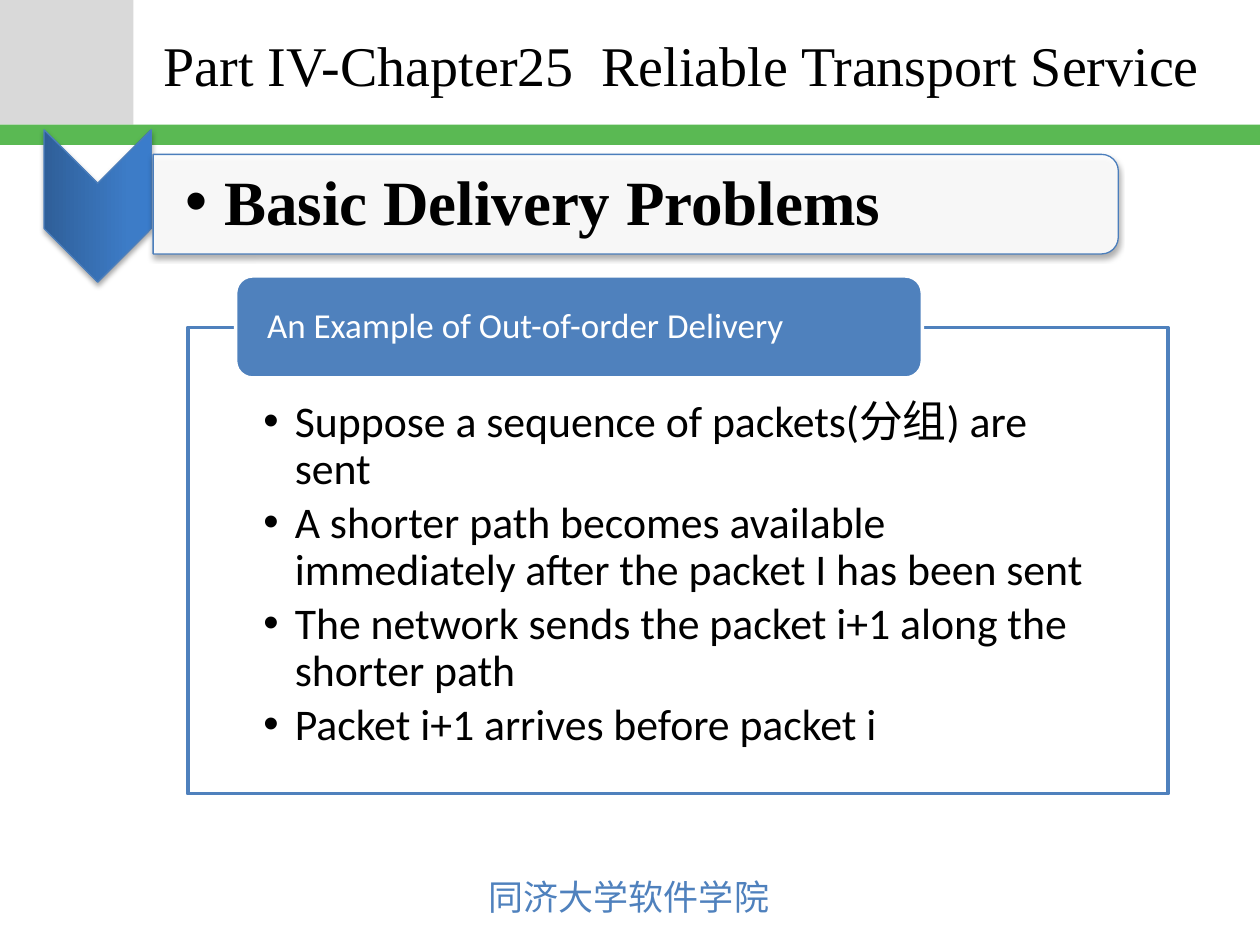
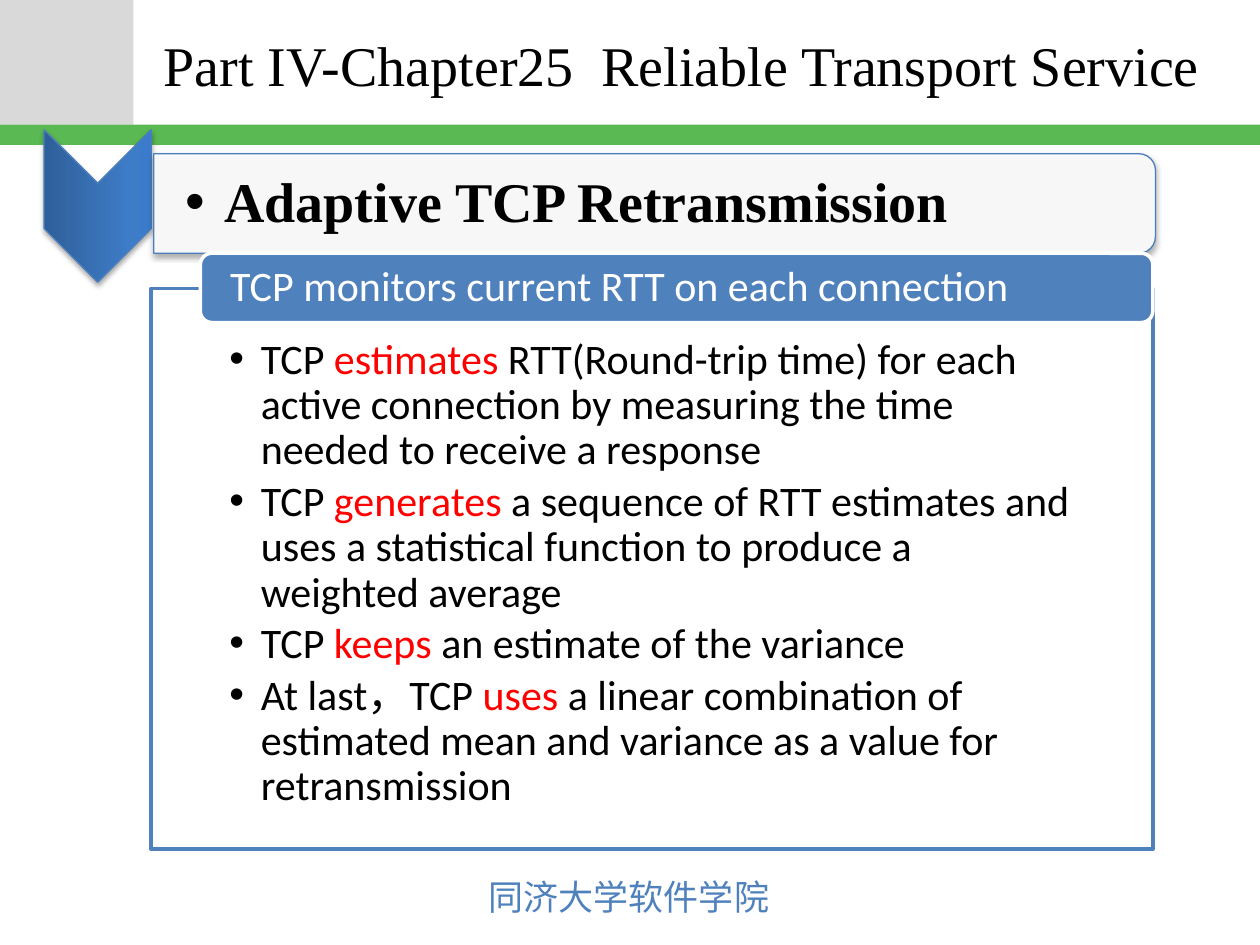
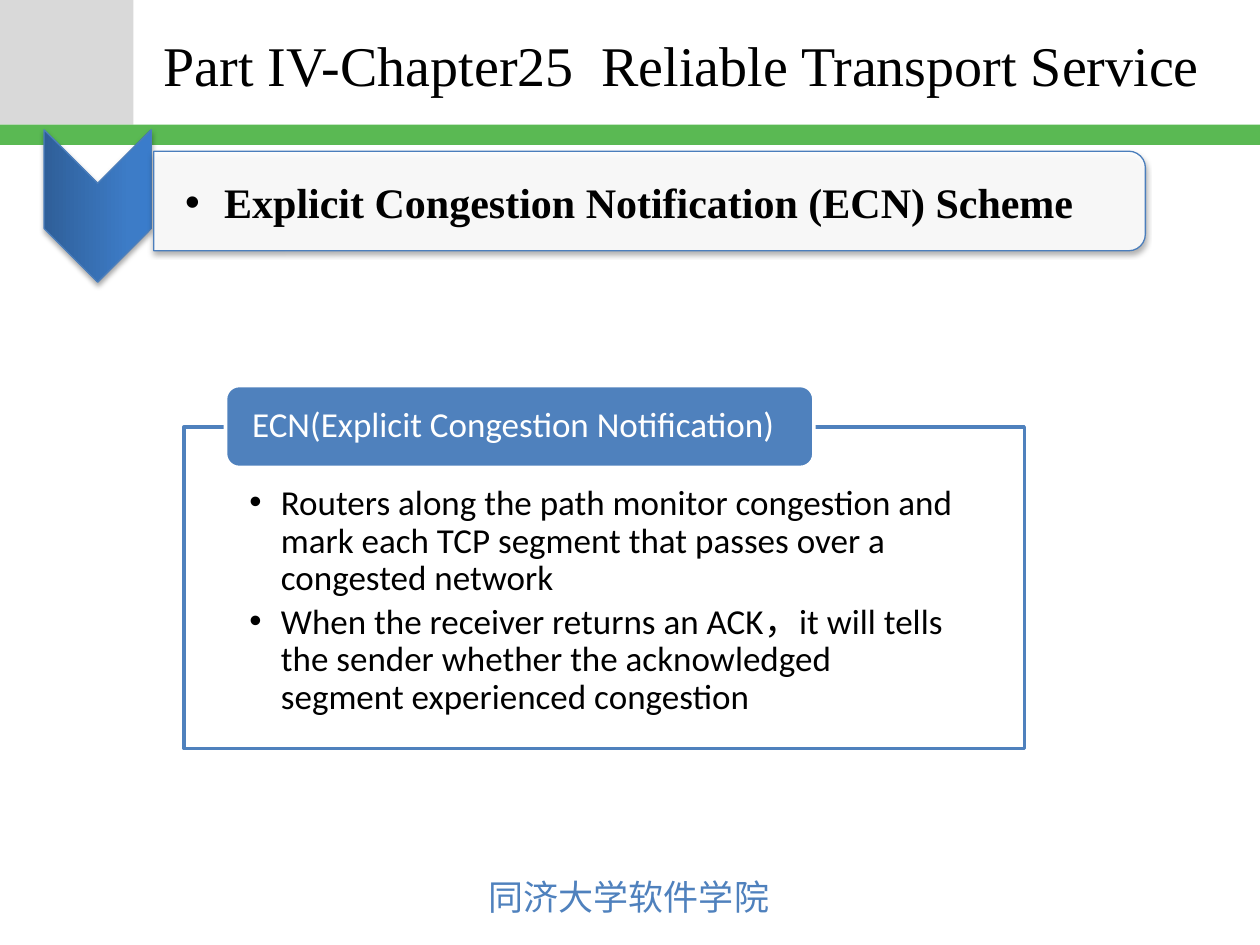
from dataclasses import dataclass

from lxml import etree
from pptx import Presentation
from pptx import util as u
from pptx.dml.color import RGBColor
from pptx.enum import shapes, text
from pptx.oxml import ns

PX_PER_INCH = 100
EMU_PER_PX = 914400 // PX_PER_INCH

WHITE = RGBColor(0xFF, 0xFF, 0xFF)
BLACK = RGBColor(0x00, 0x00, 0x00)
RED = RGBColor(0xFF, 0x00, 0x00)
GREY = RGBColor(0xD9, 0xD9, 0xD9)
GREEN = RGBColor(0x5A, 0xB9, 0x53)
BLUE = RGBColor(0x4F, 0x81, 0xBD)
EDGE_BLUE = RGBColor(0x4B, 0x7E, 0xBC)
CHEVRON_STOPS = (
    (0, RGBColor(0x2F, 0x5F, 0x99)),
    (80, RGBColor(0x3D, 0x7C, 0xC7)),
    (100, RGBColor(0x3A, 0x7C, 0xCB)),
)

SERIF = "Times New Roman"
SANS = "Calibri"
CJK = "Noto Sans CJK JP"

CHAPTER = "Part IV-Chapter25  Reliable Transport Service"
SCHOOL = "同济大学软件学院"


@dataclass(frozen=True)
class Box:
    left: int
    top: int
    width: int
    height: int

    def emu(self) -> list[u.Emu]:
        return [px(n) for n in (self.left, self.top, self.width, self.height)]

    def turned(self) -> "Box":
        shift = (self.width - self.height) // 2
        return Box(self.left + shift, self.top - shift, self.height, self.width)


@dataclass(frozen=True)
class Style:
    font: str
    size: int
    color: RGBColor
    bold: bool = False


@dataclass(frozen=True)
class Topic:
    heading: str
    heading_size: int
    banner: Box
    label: str
    label_size: int
    label_width: int
    label_height: int
    label_inset: int
    panel: Box
    panel_insets: tuple[int, int, int, int]
    points_size: int
    points: tuple[tuple[str, ...], ...]


TOPICS = (
    Topic(
        "Basic Delivery Problems", 36, Box(122, 122, 766, 79),
        "An Example of Out-of-order Delivery", 20, 545, 81, 21,
        Box(149, 260, 778, 370), (60, 57, 60, 19), 25,
        (
            ("Suppose a sequence of packets(分组) are sent",),
            ("A shorter path becomes available immediately after the packet I has been sent",),
            ("The network sends the packet i+1 along the shorter path",),
            ("Packet i+1 arrives before packet i",),
        ),
    ),
    Topic(
        "Adaptive TCP Retransmission", 32, Box(122, 122, 795, 79),
        "TCP monitors current RTT on each connection", 24, 756, 55, 21,
        Box(120, 229, 795, 445), (62, 39, 62, 19), 24,
        (
            ("TCP ", "estimates", " RTT(Round-trip time) for each active connection "
             "by measuring the time needed to receive a response"),
            ("TCP ", "generates", " a sequence of RTT estimates and uses a statistical "
             "function to produce a weighted average"),
            ("TCP ", "keeps", " an estimate of the variance"),
            ("At last，TCP ", "uses", " a linear combination of estimated mean and "
             "variance as a value for retransmission"),
        ),
    ),
    Topic(
        "Explicit Congestion Notification (ECN) Scheme", 24, Box(122, 120, 787, 79),
        "ECN(Explicit Congestion Notification)", 20, 467, 65, 18,
        Box(146, 339, 667, 255), (52, 46, 52, 16), 20,
        (
            ("Routers along the path monitor congestion and mark each TCP segment "
             "that passes over a congested network",),
            ("When the receiver returns an ACK，it will tells the sender whether the "
             "acknowledged segment experienced congestion",),
        ),
    ),
)


def px(length: int) -> u.Emu:
    return u.Emu(length * EMU_PER_PX)


def child(parent, tag: str, **attributes):
    return etree.SubElement(
        parent, ns.qn(tag), {key: str(value) for key, value in attributes.items()}
    )


def add_block(slide, kind, box: Box, fill: RGBColor, line: RGBColor | None = None,
              line_width: float = 0, alpha: int = 100):
    block = slide.shapes.add_shape(kind, *box.emu())
    block.shadow.inherit = False
    block.fill.solid()
    block.fill.fore_color.rgb = fill
    if alpha < 100:
        fill_color = block.fill._xPr.find(ns.qn("a:solidFill"))[0]
        child(fill_color, "a:alpha", val=alpha * 1000)
    if line is None:
        block.line.fill.background()
    else:
        block.line.color.rgb = line
        block.line.width = u.Pt(line_width)
    return block


def cast_shadow(block) -> None:
    effects = block._element.spPr.find(ns.qn("a:effectLst"))
    shadow = child(effects, "a:outerShdw", blurRad=u.Pt(3.1), dist=u.Pt(1.8),
                   dir=90 * 60000, rotWithShape=0)
    color = child(shadow, "a:srgbClr", val=BLACK)
    child(color, "a:alpha", val=35000)


def shade_chevron(chevron) -> None:
    solid = chevron._element.spPr.find(ns.qn("a:solidFill"))
    gradient = etree.Element(ns.qn("a:gradFill"), rotWithShape="1")
    stops = child(gradient, "a:gsLst")
    for position, color in CHEVRON_STOPS:
        child(child(stops, "a:gs", pos=position * 1000), "a:srgbClr", val=color)
    child(gradient, "a:lin", ang=270 * 60000, scaled=0)
    solid.getparent().replace(solid, gradient)


def set_frame(shape, insets: tuple[int, int, int, int], anchor, wrap: bool = True):
    frame = shape.text_frame
    frame.word_wrap = wrap
    frame.vertical_anchor = anchor
    (frame.margin_left, frame.margin_top,
     frame.margin_right, frame.margin_bottom) = map(px, insets)
    return frame


def add_run(paragraph, words: str, style: Style, color: RGBColor | None = None) -> None:
    run = paragraph.add_run()
    run.text = words
    run.font.size = u.Pt(style.size)
    run.font.bold = style.bold
    run.font.color.rgb = color or style.color
    run.font.name = style.font
    child(run.font._element, "a:ea", typeface=style.font)


def format_paragraph(paragraph, after: int, indent: int = 0) -> None:
    paragraph.alignment = text.PP_ALIGN.LEFT
    paragraph.line_spacing = 0.9
    properties = paragraph._p.get_or_add_pPr()
    child(child(properties, "a:spcAft"), "a:spcPct", val=after * 1000)
    if indent:
        paragraph.level = 1
        properties.set("marL", str(px(indent)))
        properties.set("indent", str(px(-indent)))
        child(properties, "a:buFont", typeface="Arial")
        child(properties, "a:buChar", char="•")


def draw_frame(slide) -> None:
    rectangle = shapes.MSO_SHAPE.RECTANGLE
    add_block(slide, rectangle, Box(0, 0, 106, 99), GREY)
    add_block(slide, rectangle, Box(0, 99, 1000, 16), GREEN)

    footer = slide.shapes.add_textbox(*Box(378, 690, 245, 44).emu())
    frame = set_frame(footer, (10, 5, 10, 5), text.MSO_ANCHOR.TOP, wrap=False)
    frame.auto_size = text.MSO_AUTO_SIZE.SHAPE_TO_FIT_TEXT
    add_run(frame.paragraphs[0], SCHOOL, Style(CJK, 20, BLUE))

    title = slide.shapes.add_textbox(*Box(120, 2, 860, 98).emu())
    frame = set_frame(title, (10, 5, 10, 5), text.MSO_ANCHOR.MIDDLE)
    add_run(frame.paragraphs[0], CHAPTER, Style(SERIF, 32, BLACK))

    chevron = add_block(slide, shapes.MSO_SHAPE.CHEVRON, Box(17, 121, 121, 85),
                        BLUE, EDGE_BLUE, 0.75)
    chevron.rotation = 90
    shade_chevron(chevron)
    cast_shadow(chevron)


def draw_banner(slide, topic: Topic) -> None:
    banner = add_block(slide, shapes.MSO_SHAPE.ROUND_2_SAME_RECTANGLE,
                       topic.banner.turned(), WHITE, EDGE_BLUE, 0.75, alpha=90)
    banner.rotation = 90
    cast_shadow(banner)

    area = Box(topic.banner.left, 127, topic.banner.width - 3, 71)
    heading = slide.shapes.add_textbox(*area.emu())
    frame = set_frame(heading, (25, 2, 2, 2), text.MSO_ANCHOR.MIDDLE)
    paragraph = frame.paragraphs[0]
    format_paragraph(paragraph, after=15, indent=31)
    add_run(paragraph, topic.heading, Style(SERIF, topic.heading_size, BLACK, bold=True))


def draw_panel(slide, topic: Topic) -> None:
    panel = add_block(slide, shapes.MSO_SHAPE.RECTANGLE, topic.panel,
                      WHITE, BLUE, 2, alpha=90)
    frame = set_frame(panel, topic.panel_insets, text.MSO_ANCHOR.TOP)
    style = Style(SANS, topic.points_size, BLACK)
    for number, point in enumerate(topic.points):
        paragraph = frame.add_paragraph() if number else frame.paragraphs[0]
        format_paragraph(paragraph, after=15, indent=25)
        for part, words in enumerate(point):
            add_run(paragraph, words, style, RED if part % 2 else BLACK)


def draw_label(slide, topic: Topic) -> None:
    area = Box(topic.panel.left + topic.panel.width // 20,
               topic.panel.top - topic.label_height // 2 - 1,
               topic.label_width, topic.label_height)
    label = add_block(slide, shapes.MSO_SHAPE.ROUNDED_RECTANGLE, area, BLUE, WHITE, 2)
    frame = set_frame(label, (topic.label_inset, 0, topic.label_inset, 0),
                      text.MSO_ANCHOR.MIDDLE)
    paragraph = frame.paragraphs[0]
    format_paragraph(paragraph, after=35)
    add_run(paragraph, topic.label, Style(SANS, topic.label_size, WHITE))


def main() -> None:
    deck = Presentation()
    deck.slide_width, deck.slide_height = px(1000), px(750)
    blank = deck.slide_layouts[6]
    for topic in TOPICS:
        slide = deck.slides.add_slide(blank)
        draw_frame(slide)
        draw_banner(slide, topic)
        draw_panel(slide, topic)
        draw_label(slide, topic)
    deck.save("out.pptx")


if __name__ == "__main__":
    main()
